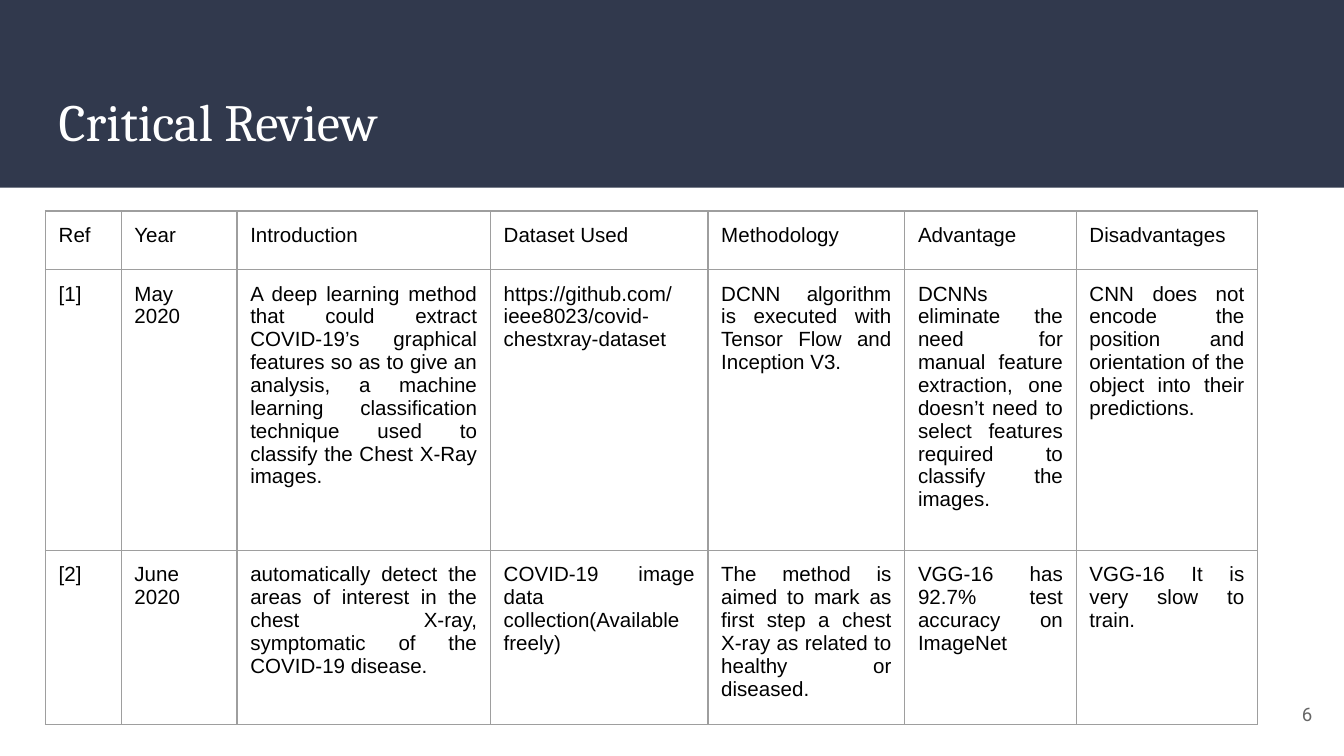
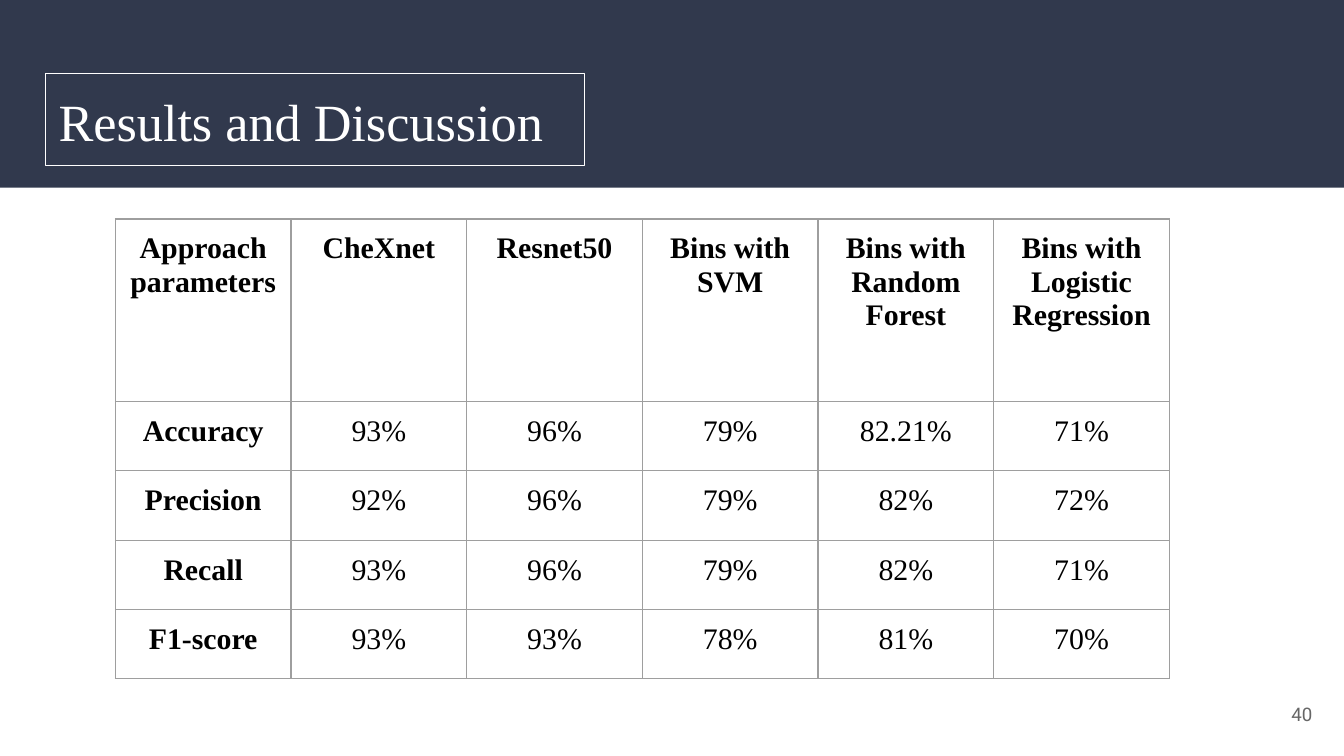
from lxml.etree import SubElement
from pptx import Presentation
from pptx.dml.color import RGBColor
from pptx.enum.shapes import MSO_SHAPE as SHAPE
from pptx.enum.text import MSO_ANCHOR as ANCHOR, PP_ALIGN as ALIGN
from pptx.oxml.ns import qn
from pptx.util import Cm, Pt

# Content
REVIEW = [
    ["Ref", "Year", "Introduction", "Dataset Used", "Methodology",
     "Advantage", "Disadvantages"],
    ["[1]", "May 2020",
     "A deep learning method that could extract COVID-19’s graphical features "
     "so as to give an analysis, a machine learning classification technique "
     "used to classify the Chest X-Ray images.",
     "https://github.com/ieee8023/covid-chestxray-dataset",
     "DCNN algorithm is executed with Tensor Flow and Inception V3.",
     "DCNNs eliminate the need for manual feature extraction, one doesn’t "
     "need to select features required to classify the images.",
     "CNN does not encode the position and orientation of the object into "
     "their predictions."],
    ["[2]", "June\n2020",
     "automatically detect the areas of interest in the chest X-ray, "
     "symptomatic of the COVID-19 disease.",
     "COVID-19 image data collection(Available freely)",
     "The method is aimed to mark as first step a chest X-ray as related to "
     "healthy or diseased.",
     "VGG-16 has 92.7% test accuracy on ImageNet",
     "VGG-16 It is very slow to train."],
]
RESULTS = [
    ["Approach parameters", "CheXnet", "Resnet50", "Bins with SVM",
     "Bins with Random Forest", "Bins with Logistic Regression"],
    ["Accuracy", "93%", "96%", "79%", "82.21%", "71%"],
    ["Precision", "92%", "96%", "79%", "82%", "72%"],
    ["Recall", "93%", "96%", "79%", "82%", "71%"],
    ["F1-score", "93%", "93%", "78%", "81%", "70%"],
]

# Shared look, lengths in cm
COLORS = {"band": "31394D", "white": "FFFFFF", "text": "000000",
          "number": "666666", "border": "9E9E9E"}
WIDTH, HEIGHT, BAND_HEIGHT = 25.4, 14.29, 3.55
MARGIN, INSET = 0.86, 0.25
TITLE_TOP, TITLE_HEIGHT = 1.39, 1.74
BORDER = Pt(0.75)


def color(name):
    return RGBColor.from_string(COLORS[name])


def write(tf, text, font, size, ink, align=ALIGN.LEFT, bold=False):
    tf.text = text
    tf.word_wrap = True
    for p in tf.paragraphs:
        p.alignment = align
        for r in p.runs:
            r.font.name, r.font.size, r.font.bold = font, Pt(size), bold
            r.font.color.rgb = color(ink)


def add_text(s, box, text, font, size, ink, anchor, align=ALIGN.LEFT):
    sp = s.shapes.add_textbox(*map(Cm, box))
    tf = sp.text_frame
    tf.margin_left = tf.margin_right = Cm(INSET)
    tf.margin_top = tf.margin_bottom = Cm(INSET)
    tf.vertical_anchor = anchor
    write(tf, text, font, size, ink, align)
    return sp


def add_slide(prs, title, font, number, title_width):
    """Blank slide with the band, the title and the page number."""
    s = prs.slides.add_slide(prs.slide_layouts[6])
    band = s.shapes.add_shape(SHAPE.RECTANGLE, 0, 0, Cm(WIDTH), Cm(BAND_HEIGHT))
    band.shadow.inherit = False
    band.fill.solid()
    band.fill.fore_color.rgb = color("band")
    band.line.fill.background()
    title_box = add_text(s, (MARGIN, TITLE_TOP, title_width, TITLE_HEIGHT),
                         title, font, 28, "white", ANCHOR.BOTTOM)
    add_text(s, (23.53, 12.95, 1.52, 1.09), number, "Roboto", 10, "number",
             ANCHOR.MIDDLE, ALIGN.RIGHT)
    return s, title_box


def add_borders(cell):
    tc_pr = cell._tc.get_or_add_tcPr()
    for side in ("a:lnL", "a:lnR", "a:lnT", "a:lnB"):
        ln = SubElement(tc_pr, qn(side), w=str(BORDER))
        fill = SubElement(ln, qn("a:solidFill"))
        SubElement(fill, qn("a:srgbClr"), val=COLORS["border"])


def add_grid(s, rows, left, top, widths, heights, font, size, align,
             bold_heads=False):
    """Bordered table; bold_heads marks the first row and first column."""
    table = s.shapes.add_table(len(rows), len(widths), Cm(left), Cm(top),
                               Cm(sum(widths)), Cm(sum(heights))).table
    table.first_row = table.horz_banding = False
    for column, width in zip(table.columns, widths):
        column.width = Cm(width)
    for i, (values, height) in enumerate(zip(rows, heights)):
        table.rows[i].height = Cm(height)
        for j, value in enumerate(values):
            cell = table.cell(i, j)
            cell.margin_left = cell.margin_right = Cm(INSET)
            cell.margin_top = cell.margin_bottom = Cm(INSET)
            write(cell.text_frame, value, font, size, "text", align,
                  bold_heads and (i == 0 or j == 0))
            add_borders(cell)
            cell.fill.background()


def main():
    prs = Presentation()
    prs.slide_width, prs.slide_height = Cm(WIDTH), Cm(HEIGHT)

    # Critical review
    s, _ = add_slide(prs, "Critical Review", "Cambria", "6", WIDTH - 2 * MARGIN)
    add_grid(s, REVIEW, MARGIN, 3.99, [1.43, 2.19, 4.79, 4.11, 3.72, 3.24, 3.43],
             [1.1, 5.31, 3.02], "Arial", 11, ALIGN.JUSTIFY)

    # Results, with an outlined title
    s, title_box = add_slide(prs, "Results and Discussion", "Times New Roman",
                             "40", 10.19)
    title_box.line.color.rgb = color("white")
    title_box.line.width = BORDER
    add_grid(s, RESULTS, 2.18, 4.14, [3.32] * 6, [3.45] + [1.31] * 4,
             "Times New Roman", 16, ALIGN.CENTER, bold_heads=True)

    prs.save("out.pptx")


if __name__ == "__main__":
    main()
